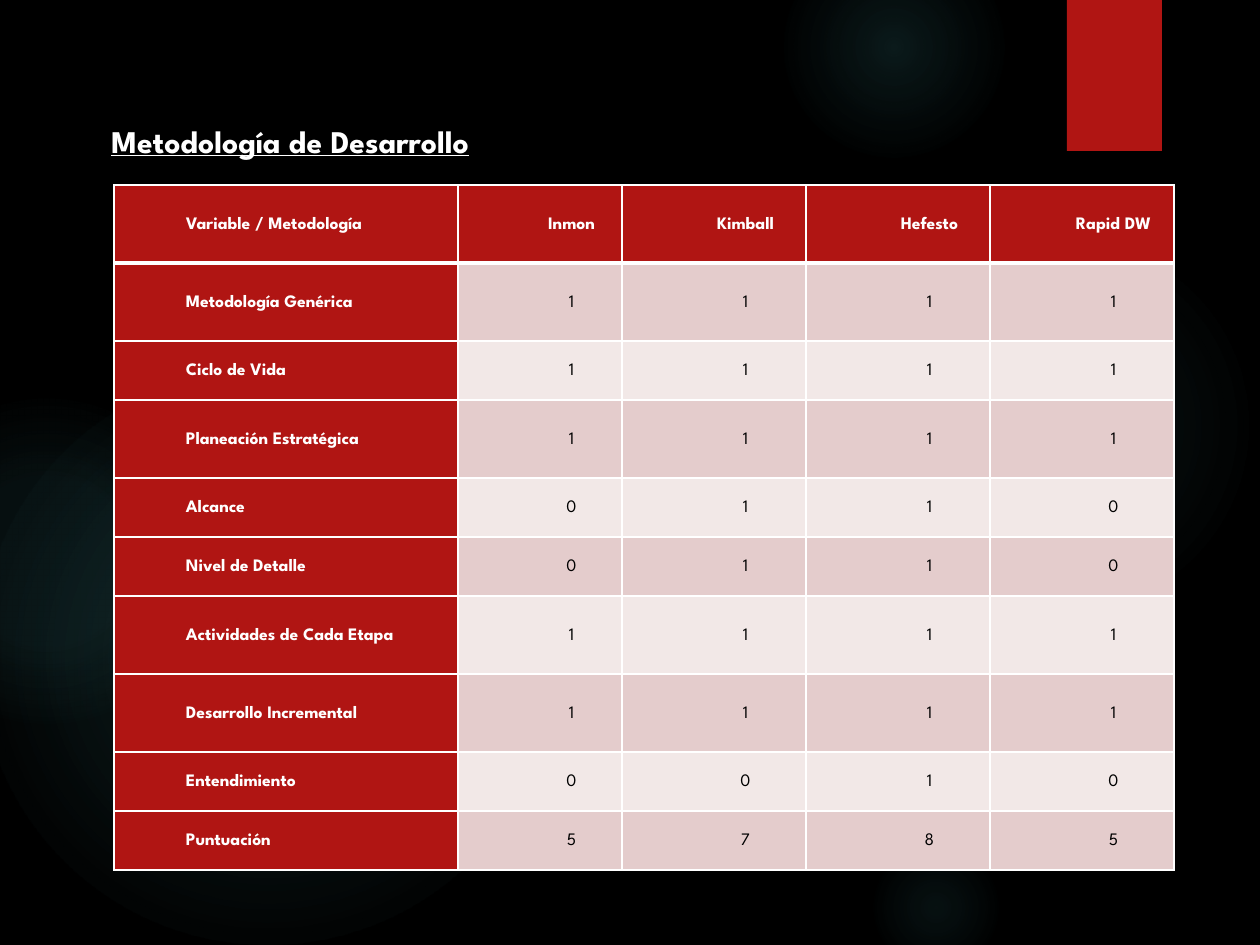
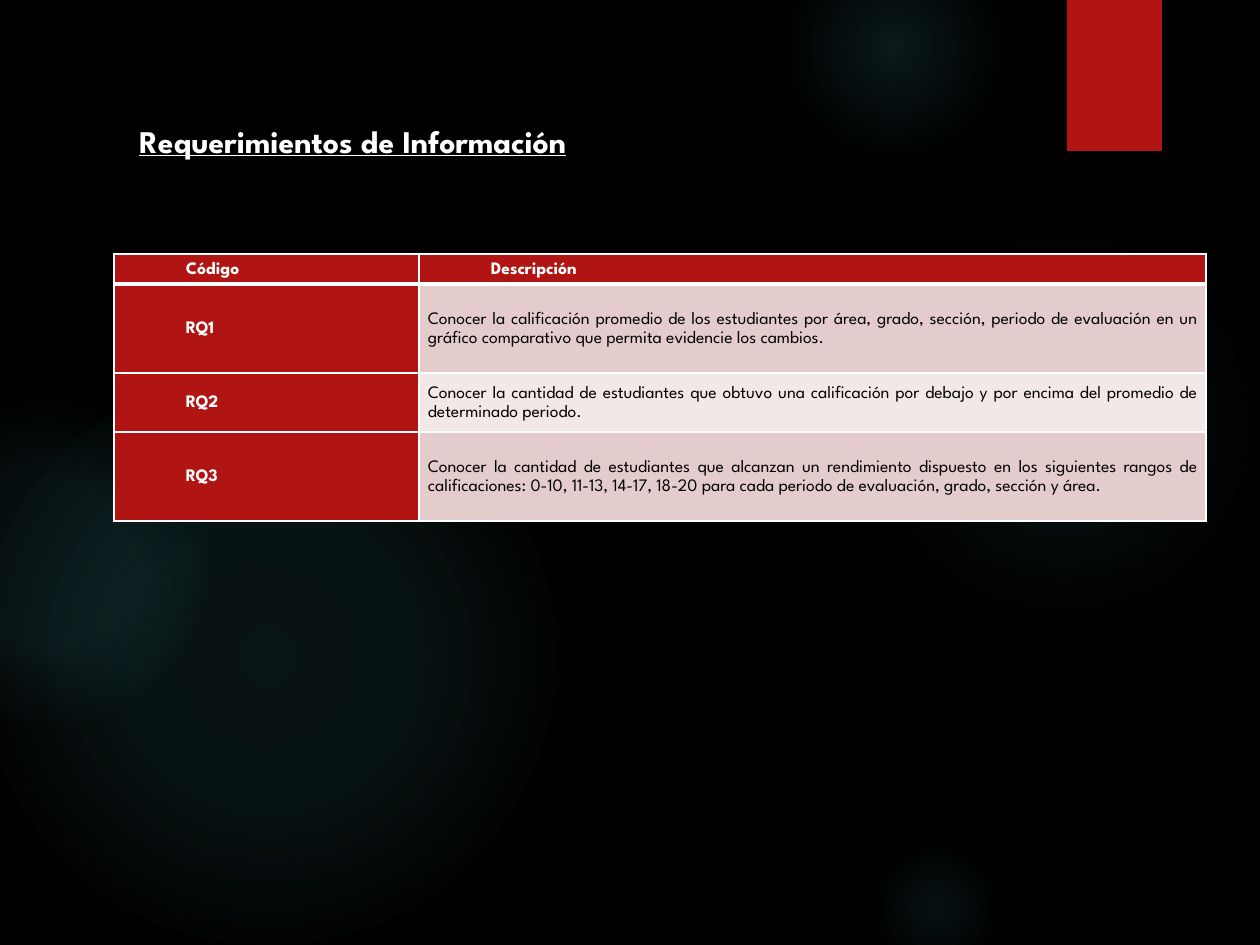
"""Build two dark slides comparing methodologies and listing requirements."""
from lxml.etree import SubElement
from pptx import Presentation
from pptx.dml.color import RGBColor
from pptx.enum.shapes import MSO_SHAPE
from pptx.enum.text import MSO_ANCHOR, PP_ALIGN
from pptx.oxml import parse_xml
from pptx.oxml.ns import nsdecls, qn
from pptx.util import Emu, Pt

COLORS = {"background": "000000", "accent": "B01513", "glow": "50B9C1",
          "light": "FFFFFF", "dark": "000000",
          "odd": "E4CCCC", "even": "F2E8E7"}
FONT = "League Spartan"
PX_PER_INCH = 126
INDENT = 63
CELL_MARGIN = 9

GLOWS = [
    ((868, 231, 388), ((0, 7), (36, 6), (69, 0))),
    ((784, -63, 220), ((0, 14), (36, 7), (73, 0))),
    ((868, 840, 136), ((0, 9), (36, 5), (66, 0))),
    ((-21, 368, 577), ((0, 11), (36, 10), (75, 0))),
    ((-116, 399, 325), ((0, 8), (36, 8), (72, 0))),
]

TALL, SHORT = 78, 59
METHODOLOGIES = [
    (TALL, ("Variable / Metodología", "Inmon", "Kimball", "Hefesto", "Rapid DW")),
    (TALL, ("Metodología Genérica", 1, 1, 1, 1)),
    (SHORT, ("Ciclo de Vida", 1, 1, 1, 1)),
    (TALL, ("Planeación Estratégica", 1, 1, 1, 1)),
    (SHORT, ("Alcance", 0, 1, 1, 0)),
    (SHORT, ("Nivel de Detalle", 0, 1, 1, 0)),
    (TALL, ("Actividades de Cada Etapa", 1, 1, 1, 1)),
    (TALL, ("Desarrollo Incremental", 1, 1, 1, 1)),
    (SHORT, ("Entendimiento", 0, 0, 1, 0)),
    (SHORT, ("Puntuación", 5, 7, 8, 5)),
]
REQUIREMENTS = [
    (30, ("Código", "Descripción")),
    (89, ("RQ1", "Conocer la calificación promedio de los estudiantes por área, "
          "grado, sección, periodo de evaluación en un gráfico comparativo que "
          "permita evidencie los cambios.")),
    (59, ("RQ2", "Conocer la cantidad de estudiantes que obtuvo una calificación "
          "por debajo y por encima del promedio de determinado periodo.")),
    (89, ("RQ3", "Conocer la cantidad de estudiantes que alcanzan un rendimiento "
          "dispuesto en los siguientes rangos de calificaciones: 0-10, 11-13, "
          "14-17, 18-20 para cada periodo de evaluación, grado, sección y área.")),
]


def px(n):
    """Turn pixels into EMU."""
    return Emu(round(n * 914400 / PX_PER_INCH))


def rgb(name):
    """Look up a named colour."""
    return RGBColor.from_string(COLORS[name])


def style_paragraph(p, size, color, bold, indent):
    """Set the font and left indent of a paragraph."""
    p.font.name = FONT
    p.font.size = Pt(size)
    p.font.bold = bold
    p.font.color.rgb = rgb(color)
    p._p.get_or_add_pPr().set("marL", str(px(indent)))


def add_plain_shape(s, kind, box):
    """Add a preset shape without line or shadow."""
    sp = s.shapes.add_shape(kind, *map(px, box))
    sp.shadow.inherit = False
    sp.line.fill.background()
    return sp


def add_glow(s, box, stops):
    """Add a soft round light that fades out from its centre."""
    left, top, size = box
    sp = add_plain_shape(s, MSO_SHAPE.OVAL, (left, top, size, size))
    gs = "".join(
        f'<a:gs pos="{pos * 1000}"><a:srgbClr val="{COLORS["glow"]}">'
        f'<a:alpha val="{alpha * 1000}"/></a:srgbClr></a:gs>'
        for pos, alpha in stops)
    grad = parse_xml(
        f'<a:gradFill {nsdecls("a")} rotWithShape="1"><a:gsLst>{gs}</a:gsLst>'
        '<a:path path="circle"><a:fillToRect l="50000" t="50000" r="50000" '
        'b="50000"/></a:path></a:gradFill>')
    sp._element.spPr.find(qn("a:prstGeom")).addnext(grad)


def add_backdrop(s):
    """Paint the background, the lights and the red tab."""
    s.background.fill.solid()
    s.background.fill.fore_color.rgb = rgb("background")
    for box, stops in GLOWS:
        add_glow(s, box, stops)
    tab = add_plain_shape(s, MSO_SHAPE.RECTANGLE, (1067, 0, 95, 151))
    tab.fill.solid()
    tab.fill.fore_color.rgb = rgb("accent")


def add_title(s, box, text, indent):
    """Add the underlined slide title."""
    tf = s.shapes.add_textbox(*map(px, box)).text_frame
    tf.word_wrap = True
    p = tf.paragraphs[0]
    p.text = text
    style_paragraph(p, 18, "light", True, indent)
    p.font.underline = True


def set_borders(cell, top, bottom):
    """Draw white cell borders with the given top and bottom widths."""
    tcPr = cell._tc.get_or_add_tcPr()
    for side, width in (("L", 1), ("R", 1), ("T", top), ("B", bottom)):
        ln = SubElement(tcPr, qn(f"a:ln{side}"), w=str(Pt(width)))
        fill = SubElement(ln, qn("a:solidFill"))
        SubElement(fill, qn("a:srgbClr"), val=COLORS["light"])


def fill_cell(cell, value, row, is_heading, align, indent, space):
    """Write and style one table cell."""
    set_borders(cell, 3 if row == 1 else 1, 3 if row == 0 else 1)
    band = "odd" if row % 2 else "even"
    cell.fill.solid()
    cell.fill.fore_color.rgb = rgb("accent" if is_heading else band)
    cell.vertical_anchor = MSO_ANCHOR.MIDDLE
    cell.margin_left = cell.margin_right = px(CELL_MARGIN)
    cell.margin_top = cell.margin_bottom = 0
    p = cell.text_frame.paragraphs[0]
    p.text = str(value)
    p.alignment = align
    p.line_spacing = 1.15
    p.space_before = p.space_after = Pt(space)
    style_paragraph(p, 10, "light" if is_heading else "dark", is_heading, indent)


def add_grid(s, left, top, widths, rows, align, body_indent, body_space):
    """Add a table with a heading row, a heading column and banded rows."""
    heights = [height for height, _ in rows]
    box = (left, top, sum(widths), sum(heights))
    table = s.shapes.add_table(len(rows), len(widths), *map(px, box)).table
    for column, width in zip(table.columns, widths):
        column.width = px(width)
    for i, (height, values) in enumerate(rows):
        table.rows[i].height = px(height)
        for j, value in enumerate(values):
            is_heading = i == 0 or j == 0
            fill_cell(table.cell(i, j), value, i, is_heading,
                      align if j else PP_ALIGN.LEFT,
                      INDENT if is_heading else body_indent,
                      0 if is_heading else body_space)


def add_methodology_slide(prs):
    """Build the slide that scores the methodologies."""
    s = prs.slides.add_slide(prs.slide_layouts[6])
    add_backdrop(s)
    add_title(s, (74, 116, 586, 586), "Metodología de Desarrollo", 25)
    add_grid(s, 114, 185, (344, 164, 184, 184, 184), METHODOLOGIES,
             PP_ALIGN.CENTER, INDENT, 0)


def add_requirements_slide(prs):
    """Build the slide that lists the information requirements."""
    s = prs.slides.add_slide(prs.slide_layouts[6])
    add_backdrop(s)
    add_title(s, (64, 116, 764, 585), "Requerimientos de Información", INDENT)
    add_grid(s, 114, 254, (305, 787), REQUIREMENTS, PP_ALIGN.JUSTIFY, 0, 6)


def main():
    """Build and save the presentation."""
    prs = Presentation()
    prs.slide_width, prs.slide_height = px(1260), px(945)
    add_methodology_slide(prs)
    add_requirements_slide(prs)
    prs.save("out.pptx")


if __name__ == "__main__":
    main()
